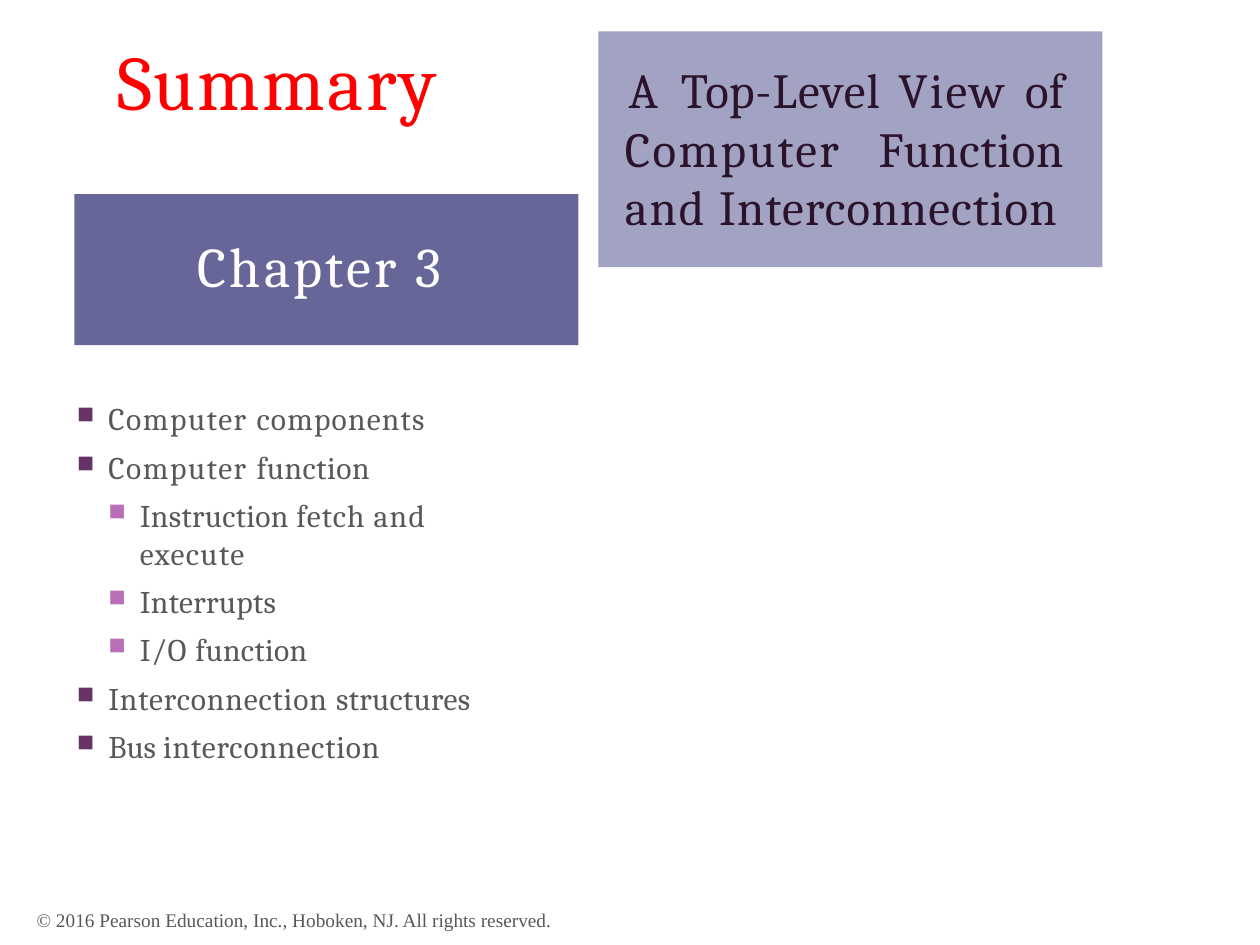
"""Build the Chapter 3 summary slide."""
from lxml import etree
from pptx import Presentation
from pptx.dml.color import RGBColor
from pptx.enum import shapes, text
from pptx.oxml import ns
from pptx.util import Inches, Pt

WHITE = RGBColor(0xFF, 0xFF, 0xFF)
RED = RGBColor(0xFF, 0x00, 0x00)
GRAY = RGBColor(0x58, 0x58, 0x58)
INDIGO = RGBColor(0x66, 0x66, 0x99)
LAVENDER = RGBColor(0xA2, 0xA2, 0xC2)
DARK_PLUM = RGBColor(0x2B, 0x13, 0x2C)
BULLETS = [RGBColor(0x66, 0x33, 0x66), RGBColor(0xB8, 0x6F, 0xB8)]
SERIF = "Cambria"

TOPICS = [
    (0, [("Computer ", 0.9), ("components", 0.7)]),
    (0, [("Computer ", 0.9), ("function", 0.3)]),
    (1, [("Instruction ", 0.2), ("fetch ", 0.6), ("and ", 0.7), ("execute", 0.8)]),
    (1, [("Interrupts", 0.2)]),
    (1, [("I/O ", 0.5), ("function", 0.2)]),
    (0, [("Interconnection ", 0.5), ("structures", 0.2)]),
    (0, [("Bus ", 0), ("interconnection", 0.5)]),
]
CHAPTER_TITLE = [
    ("A ", 2), ("Top", 0.3), ("-Level ", 0.7), ("View ", 1.3), ("of ", 0.2),
    ("Computer ", 1.4), ("Function ", 0.5), ("and ", 1.1), ("Interconnection", 0.7),
]


def place(shape, left, top, width, height):
    """Set the position and size of a shape in inches."""
    shape.left, shape.top = Inches(left), Inches(top)
    shape.width, shape.height = Inches(width), Inches(height)


def prepare_frame(shape, left=0, top=0, right=0):
    """Give a shape a wrapped, top-anchored text frame and return it."""
    frame = shape.text_frame
    frame.word_wrap = True
    frame.auto_size = text.MSO_AUTO_SIZE.NONE
    frame.vertical_anchor = text.MSO_ANCHOR.TOP
    frame.margin_left, frame.margin_top = Inches(left), Inches(top)
    frame.margin_right, frame.margin_bottom = Inches(right), 0
    return frame


def write(paragraph, spans, size, color, font=SERIF, align=text.PP_ALIGN.LEFT):
    """Add text spans, each with its own letter spacing in points."""
    paragraph.alignment = align
    for words, spacing in spans:
        span = paragraph.add_run()
        span.text = words
        span.font.name = font
        span.font.size = Pt(size)
        span.font.color.rgb = color
        span.font._element.set("spc", str(round(spacing * 100)))


def add_bullet(paragraph, level):
    """Give a paragraph a square bullet and a hanging indent."""
    paragraph.level = level
    properties = paragraph._p.get_or_add_pPr()
    properties.set("marL", str(Inches(0.26 + 0.25 * level)))
    properties.set("indent", str(Inches(-0.25)))
    color = etree.SubElement(properties, ns.qn("a:buClr"))
    etree.SubElement(color, ns.qn("a:srgbClr"), val=str(BULLETS[level]))
    etree.SubElement(properties, ns.qn("a:buSzPct"), val="75000")
    etree.SubElement(properties, ns.qn("a:buChar"), char="■")


def add_panel(page, area, fill):
    """Add a filled rectangle without outline or shadow."""
    panel = page.shapes.add_shape(
        shapes.MSO_SHAPE.RECTANGLE, *(Inches(length) for length in area))
    panel.shadow.inherit = False
    panel.fill.solid()
    panel.fill.fore_color.rgb = fill
    panel.line.fill.background()
    return panel


def add_text_box(page, area):
    """Add an empty text box."""
    return page.shapes.add_textbox(*(Inches(length) for length in area))


def add_topics(page):
    """Add the two-level list of chapter topics."""
    frame = prepare_frame(add_text_box(page, (0.6, 3.07, 3.29, 3.4)), top=0.1)
    for index, (level, spans) in enumerate(TOPICS):
        paragraph = frame.add_paragraph() if index else frame.paragraphs[0]
        if index:
            paragraph.space_before = Pt(6)
        add_bullet(paragraph, level)
        write(paragraph, spans, 18, GRAY)


def add_copyright(page):
    """Add the copyright line at the bottom."""
    frame = prepare_frame(add_text_box(page, (0.29, 7.21, 4.3, 0.2)))
    line = frame.paragraphs[0]
    line.line_spacing = Pt(13)
    write(line, [("© 2016 Pearson Education, Inc., Hoboken, NJ. All rights reserved.", 0)],
          11, GRAY, "Times New Roman")


def main():
    """Build and save the slide."""
    deck = Presentation()
    deck.slide_width, deck.slide_height = Inches(10), Inches(7.5)
    page = deck.slides.add_slide(deck.slide_layouts[5])

    title = page.shapes.title
    place(title, 0.92, 0.26, 2.8, 0.76)
    write(prepare_frame(title, left=0.01, top=0.01).paragraphs[0],
          [("Sum", 1.1), ("mar", 1.4), ("y", 2.6)], 44, RED)

    add_copyright(page)
    add_topics(page)

    chapter = add_panel(page, (0.59, 1.54, 4, 1.2), INDIGO)
    write(prepare_frame(chapter, left=0.98, top=0.3).paragraphs[0],
          [("Chapter ", 1.8), ("3", -0.4)], 32, WHITE)

    subject = add_panel(page, (4.75, 0.25, 4, 1.87), LAVENDER)
    paragraph = prepare_frame(subject, left=0.21, top=0.22, right=0.3).paragraphs[0]
    paragraph._p.get_or_add_pPr().set("indent", str(Inches(0.03)))
    write(paragraph, CHAPTER_TITLE, 28, DARK_PLUM, align=text.PP_ALIGN.JUSTIFY)

    deck.save("out.pptx")


if __name__ == "__main__":
    main()
